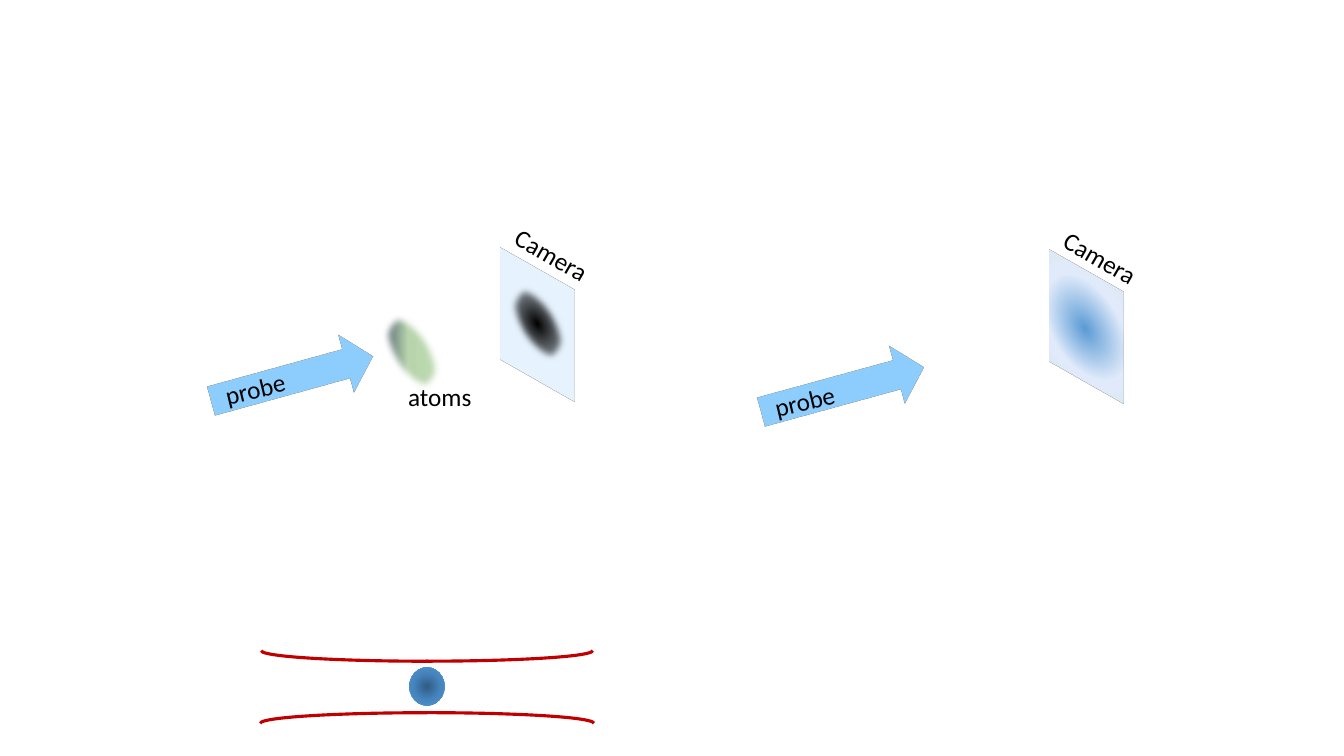
import dataclasses

import pptx
import pptx.dml.color
import pptx.enum.shapes
import pptx.enum.text
import pptx.oxml
import pptx.oxml.ns
import pptx.shapes.autoshape
import pptx.slide
import pptx.util

Inches = pptx.util.Inches
RGBColor = pptx.dml.color.RGBColor
Kind = pptx.enum.shapes.MSO_SHAPE

BLACK = RGBColor(0x00, 0x00, 0x00)
RED = RGBColor(0xC0, 0x00, 0x00)
BLUE = RGBColor(0x5B, 0x9B, 0xD5)
DARK_BLUE = RGBColor(0x43, 0x73, 0x9E)
PALE_BLUE = RGBColor(0xDE, 0xEB, 0xF7)
MIST_BLUE = RGBColor(0xE1, 0xEB, 0xFB)
GREEN = RGBColor(0x70, 0xAD, 0x47)
LIGHT_GREEN = RGBColor(0xB9, 0xD5, 0xAD)
PALE_GREEN = RGBColor(0xBF, 0xDD, 0xB3)
SLATE = RGBColor(0x44, 0x54, 0x6A)
TRAP_CENTRE = RGBColor(0x30, 0x5C, 0x84)
TRAP_MIDDLE = RGBColor(0x45, 0x83, 0xBB)
TRAP_EDGE = RGBColor(0x52, 0x9B, 0xDE)

NAMESPACE = pptx.oxml.ns.nsdecls("a")
RADIAL = ('<a:path path="circle"><a:fillToRect l="50000" t="50000" '
          'r="50000" b="50000"/></a:path>')
LINEAR = '<a:lin ang="0" scaled="0"/>'
ISOMETRIC = '<a:camera prst="isometricLeftDown"/>'
TURNED = ('<a:camera prst="orthographicFront">'
          '<a:rot lat="0" lon="1200000" rev="0"/></a:camera>')


@dataclasses.dataclass(frozen=True)
class Gradient:
    stops: tuple[tuple[int, RGBColor], ...]
    direction: str = RADIAL


@dataclasses.dataclass(frozen=True)
class Figure:
    kind: Kind
    left: float
    top: float
    width: float
    height: float
    fill: RGBColor | Gradient | None = None
    line: RGBColor | None = None
    line_width: float = 1
    rotation: float = 0
    flipped: bool = False
    camera: str = ""
    soft: bool = False


@dataclasses.dataclass(frozen=True)
class Label:
    text: str
    left: float
    top: float
    width: float
    rotation: float = 0


def beam_edge(left: float, top: float, rotation: float, flipped: bool) -> Figure:
    return Figure(Kind.ARC, left, top, 3.31, 0.21, line=RED, line_width=2.25,
                  rotation=rotation, flipped=flipped)


def probe_arrow(left: float, top: float) -> Figure:
    return Figure(Kind.RIGHT_ARROW, left, top, 1.77, 0.59, BLUE, DARK_BLUE,
                  rotation=344.7, camera=TURNED)


def camera_screen(left: float, top: float, fill: RGBColor | Gradient) -> Figure:
    return Figure(Kind.RECTANGLE, left, top, 1.04, 1.36, fill, DARK_BLUE,
                  camera=ISOMETRIC)


def soft_cloud(left: float, top: float, fill: Gradient) -> Figure:
    return Figure(Kind.OVAL, left, top, 0.85, 0.88, fill, GREEN, 0.5,
                  camera=ISOMETRIC, soft=True)


TRAP_GLOW = Gradient(((0, TRAP_CENTRE), (50, TRAP_MIDDLE), (100, TRAP_EDGE)))
ATOM_GLOW = Gradient(((0, SLATE), (45, LIGHT_GREEN), (100, PALE_GREEN)), LINEAR)
SHADOW_GLOW = Gradient(((0, BLACK), (100, PALE_BLUE)))
PROBE_GLOW = Gradient(((0, BLUE), (68, MIST_BLUE), (100, PALE_BLUE)))

FIGURES = (
    Figure(Kind.OVAL, 4.06, 6.62, 0.35, 0.38, TRAP_GLOW),
    beam_edge(2.57, 6.35, 0, True),
    beam_edge(2.59, 6.35, 180, False),
    beam_edge(2.58, 7.07, 180, True),
    beam_edge(2.58, 7.07, 0, False),
    probe_arrow(2.01, 3.46),
    soft_cloud(3.66, 3.05, ATOM_GLOW),
    camera_screen(4.81, 2.54, PALE_BLUE),
    soft_cloud(4.91, 2.77, SHADOW_GLOW),
    probe_arrow(7.47, 3.57),
    camera_screen(10.26, 2.56, PROBE_GLOW),
)

LABELS = (
    Label("probe", 2.13, 3.65, 0.82, 346.5),
    Label("probe", 7.58, 3.77, 0.82, 346.5),
    Label("atoms", 3.95, 3.73, 0.96),
    Label("Camera", 10.42, 2.37, 1.04, 30.1),
    Label("Camera", 4.98, 2.34, 1.04, 30.1),
)


def fill_shape(shape: pptx.shapes.autoshape.Shape,
               fill: RGBColor | Gradient | None) -> None:
    if fill is None:
        shape.fill.background()
    elif isinstance(fill, Gradient):
        stops = "".join(
            f'<a:gs pos="{position * 1000}"><a:srgbClr val="{color}"/></a:gs>'
            for position, color in fill.stops)
        gradient = pptx.oxml.parse_xml(
            f'<a:gradFill {NAMESPACE} rotWithShape="1"><a:gsLst>{stops}</a:gsLst>'
            f'{fill.direction}</a:gradFill>')
        shape.element.spPr.find(pptx.oxml.ns.qn("a:prstGeom")).addnext(gradient)
    else:
        shape.fill.solid()
        shape.fill.fore_color.rgb = fill


def draw_figure(slide: pptx.slide.Slide, figure: Figure) -> None:
    shape = slide.shapes.add_shape(
        figure.kind, Inches(figure.left), Inches(figure.top),
        Inches(figure.width), Inches(figure.height))
    shape.rotation = figure.rotation
    properties = shape.element.spPr
    if figure.flipped:
        properties.find(pptx.oxml.ns.qn("a:xfrm")).set("flipV", "1")
    fill_shape(shape, figure.fill)
    if figure.line is None:
        shape.line.fill.background()
    else:
        shape.line.color.rgb = figure.line
        shape.line.width = pptx.util.Pt(figure.line_width)
    shape.shadow.inherit = False
    if figure.soft:
        effects = properties.find(pptx.oxml.ns.qn("a:effectLst"))
        effects.append(pptx.oxml.parse_xml(f'<a:softEdge {NAMESPACE} rad="63500"/>'))
    if figure.camera:
        properties.append(pptx.oxml.parse_xml(
            f'<a:scene3d {NAMESPACE}>{figure.camera}'
            '<a:lightRig rig="threePt" dir="t"/></a:scene3d>'))


def draw_label(slide: pptx.slide.Slide, label: Label) -> None:
    shape = slide.shapes.add_textbox(
        Inches(label.left), Inches(label.top), Inches(label.width), Inches(0.4))
    shape.rotation = label.rotation
    text_frame = shape.text_frame
    text_frame.word_wrap = True
    text_frame.auto_size = pptx.enum.text.MSO_AUTO_SIZE.SHAPE_TO_FIT_TEXT
    text_frame.text = label.text
    font = text_frame.paragraphs[0].runs[0].font
    font.name = "Calibri"
    font.size = pptx.util.Pt(18)
    font.color.rgb = BLACK


def main() -> None:
    presentation = pptx.Presentation()
    presentation.slide_width = Inches(13.33)
    presentation.slide_height = Inches(7.5)
    slide = presentation.slides.add_slide(presentation.slide_layouts[6])
    for figure in FIGURES:
        draw_figure(slide, figure)
    for label in LABELS:
        draw_label(slide, label)
    presentation.save("out.pptx")


if __name__ == "__main__":
    main()
